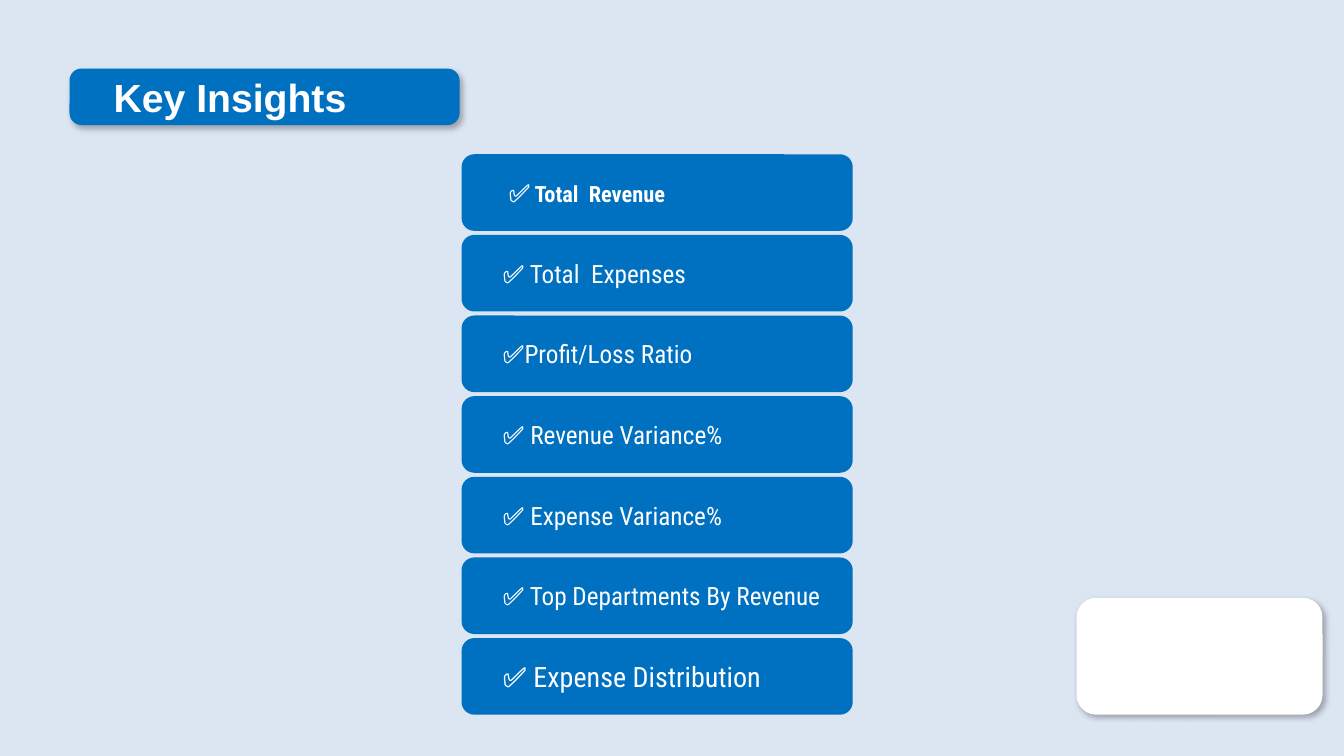
import pptx
import pptx.dml.color
import pptx.enum.shapes
import pptx.enum.text
import pptx.oxml
import pptx.oxml.ns
import pptx.util

Pt = pptx.util.Pt
RGBColor = pptx.dml.color.RGBColor
ALIGN = pptx.enum.text.PP_ALIGN

# Content
TITLE = "Key Insights"
# Each insight: runs of (text, size, bold), then left inset
INSIGHTS = [
    ([("✅", 18, False), (" ", 12, False), ("Total  Revenue", 16, True)], 31),
    ([("✅ Total  Expenses", 18, False)], 26.6),
    ([("✅Profit/Loss Ratio", 18, False)], 26.6),
    ([("✅ Revenue Variance%", 18, False)], 26.6),
    ([("✅ Expense Variance%", 18, False)], 26.6),
    ([("✅ Top Departments By Revenue", 18, False)], 26.6),
    ([("✅ Expense Distribution", 20, False)], 26.6),
]

# Colours and fonts
BACKGROUND = RGBColor(0xDC, 0xE6, 0xF2)
BLUE = RGBColor(0x00, 0x70, 0xC0)
WHITE = RGBColor(0xFF, 0xFF, 0xFF)
TITLE_FONT = "Arial"
INSIGHT_FONT = "Roboto Condensed"

# Layout, in points
SLIDE_SIZE = (960, 540)
TITLE_BOX = (49.7, 49, 278.6, 40.3)
BLANK_PANEL = (769, 427, 175.7, 83.5)
CARD_LEFT, CARD_TOP, CARD_WIDTH, CARD_HEIGHT = 329.7, 110.2, 279.4, 54.7
CARD_PITCH = 57.6

SHADOW = (
    '<a:effectLst %s><a:outerShdw blurRad="57150" dist="33020" dir="3180000" '
    'algn="ctr" rotWithShape="0"><a:srgbClr val="000000"><a:alpha val="30000"/>'
    "</a:srgbClr></a:outerShdw></a:effectLst>" % pptx.oxml.ns.nsdecls("a")
)


def add_panel(slide, box, fill, shadow=False):
    panel = slide.shapes.add_shape(
        pptx.enum.shapes.MSO_SHAPE.ROUNDED_RECTANGLE, *[Pt(n) for n in box])
    panel.shadow.inherit = False
    panel.fill.solid()
    panel.fill.fore_color.rgb = fill
    panel.line.fill.background()
    if shadow:
        effects = panel.element.spPr.find(pptx.oxml.ns.qn("a:effectLst"))
        effects.getparent().replace(effects, pptx.oxml.parse_xml(SHADOW))
    return panel


def write_text(panel, runs, *, font, inset, align, shadow=False):
    frame = panel.text_frame
    frame.word_wrap = True
    frame.vertical_anchor = pptx.enum.text.MSO_ANCHOR.MIDDLE
    frame.margin_left = Pt(inset)
    frame.margin_right = frame.margin_top = frame.margin_bottom = Pt(3.6)
    paragraph = frame.paragraphs[0]
    paragraph.alignment = align
    for text, size, bold in runs:
        run = paragraph.add_run()
        run.text = text
        run.font.name = font
        run.font.size = Pt(size)
        run.font.bold = bold
        run.font.color.rgb = WHITE
        if shadow:
            fill = run.font.fill._xPr.find(pptx.oxml.ns.qn("a:solidFill"))
            fill.addnext(pptx.oxml.parse_xml(SHADOW))


def main():
    deck = pptx.Presentation()
    deck.slide_width, deck.slide_height = [Pt(n) for n in SLIDE_SIZE]
    slide = deck.slides.add_slide(deck.slide_layouts[6])
    slide.background.fill.solid()
    slide.background.fill.fore_color.rgb = BACKGROUND

    # Blank panel at lower right
    add_panel(slide, BLANK_PANEL, WHITE, shadow=True)

    # Stack of insight cards
    for row, (runs, inset) in enumerate(INSIGHTS):
        top = CARD_TOP + row * CARD_PITCH
        card = add_panel(slide, (CARD_LEFT, top, CARD_WIDTH, CARD_HEIGHT), BLUE)
        write_text(card, runs, font=INSIGHT_FONT, inset=inset, align=ALIGN.JUSTIFY)

    # Title banner
    banner = add_panel(slide, TITLE_BOX, BLUE, shadow=True)
    banner.adjustments[0] = 0.21
    write_text(banner, [(TITLE, 28, True)], font=TITLE_FONT, inset=29,
               align=ALIGN.LEFT, shadow=True)

    deck.save("out.pptx")


if __name__ == "__main__":
    main()
